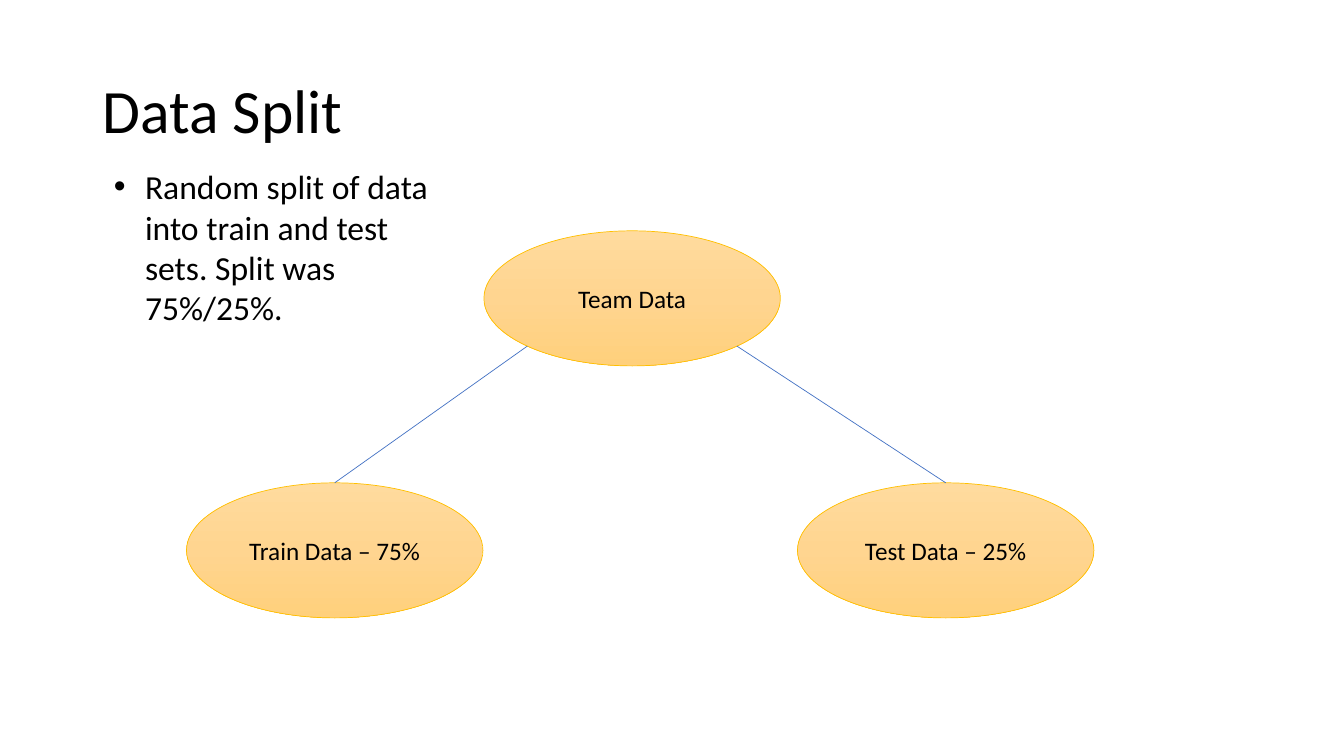
from copy import deepcopy
from math import sqrt

from pptx import Presentation
from pptx.dml.color import RGBColor as RGB
from pptx.enum.shapes import MSO_CONNECTOR as LINK, MSO_SHAPE as SHAPE
from pptx.enum.text import MSO_ANCHOR as ANCHOR, MSO_AUTO_SIZE as FIT, PP_ALIGN as ALIGN
from pptx.oxml.ns import qn
from pptx.oxml.xmlchemy import OxmlElement as Node
from pptx.util import Inches, Pt

OVAL_W, OVAL_H = 2.94, 1.34
STOPS = [(0, "FFDB9E"), (0.5, "FFD590"), (1, "FFD07C")]


def tint(code):
    return RGB.from_string(code)


def write(frame, text, size=18, color="000000", align=ALIGN.LEFT,
          anchor=ANCHOR.TOP, space=None):
    frame.word_wrap = True
    frame.vertical_anchor = anchor
    para = frame.paragraphs[0]
    para.alignment = align
    if space:
        para.line_spacing = space
    run = para.add_run()
    run.text = text
    run.font.name = "Calibri"
    run.font.size = Pt(size)
    run.font.color.rgb = tint(color)
    return para


def box(slide, left, top, width, height):
    area = map(Inches, (left, top, width, height))
    return slide.shapes.add_textbox(*area).text_frame


def bullet(para, indent):
    props = para._p.get_or_add_pPr()
    props.set("marL", str(Inches(indent)))
    props.set("indent", str(-Inches(indent)))
    font = Node("a:buFont")
    font.set("typeface", "Arial")
    mark = Node("a:buChar")
    mark.set("char", "•")
    props.extend([font, mark])


def shade(fill):
    fill.gradient()
    fill.gradient_angle = 270  # top to bottom


def oval(slide, left, top, text):
    area = map(Inches, (left, top, OVAL_W, OVAL_H))
    shape = slide.shapes.add_shape(SHAPE.OVAL, *area)
    shape.shadow.inherit = False
    shade(shape.fill)
    # Add the middle colour stop
    stops = shape._element.spPr.find(qn("a:gradFill")).find(qn("a:gsLst"))
    stops.insert(1, deepcopy(stops[0]))
    for stop, (place, color) in zip(shape.fill.gradient_stops, STOPS):
        stop.position = place
        stop.color.rgb = tint(color)
    shape.line.color.rgb = tint("FFC000")
    shape.line.width = Pt(0.5)
    write(shape.text_frame, text, align=ALIGN.CENTER, anchor=ANCHOR.MIDDLE)
    return shape


def branch(slide, root, leaf, side):
    # Start on the root's lower diagonal: side is -1 left, 1 right
    reach = 1 / sqrt(8)
    x = int(root.left + root.width * (0.5 + side * reach))
    y = int(root.top + root.height * (0.5 + reach))
    line = slide.shapes.add_connector(LINK.STRAIGHT, x, y, x, y)
    line.end_connect(leaf, 0)
    line.line.color.rgb = tint("4472C4")
    line.line.width = Pt(0.5)
    line._element.spPr.append(Node("a:effectLst"))


def main():
    deck = Presentation()
    deck.slide_width, deck.slide_height = Inches(13.33), Inches(7.5)
    slide = deck.slides.add_slide(deck.slide_layouts[6])

    # Title
    write(box(slide, 0.92, 0.4, 11.5, 1.45), "Data Split", size=44,
          anchor=ANCHOR.MIDDLE, space=0.9)

    # Split tree
    root = oval(slide, 4.8, 2.29, "Team Data")
    train = oval(slide, 1.85, 4.79, "Train Data – 75%")
    test = oval(slide, 7.91, 4.79, "Test Data – 25%")
    branch(slide, root, train, -1)
    branch(slide, root, test, 1)

    # Note on the split
    note = box(slide, 1.03, 1.6, 3.49, 1.72)
    note.auto_size = FIT.SHAPE_TO_FIT_TEXT
    para = write(note, "Random split of data into train and test sets. "
                 "Split was 75%/25%.", size=24)
    bullet(para, 0.31)

    deck.save("out.pptx")


if __name__ == "__main__":
    main()
